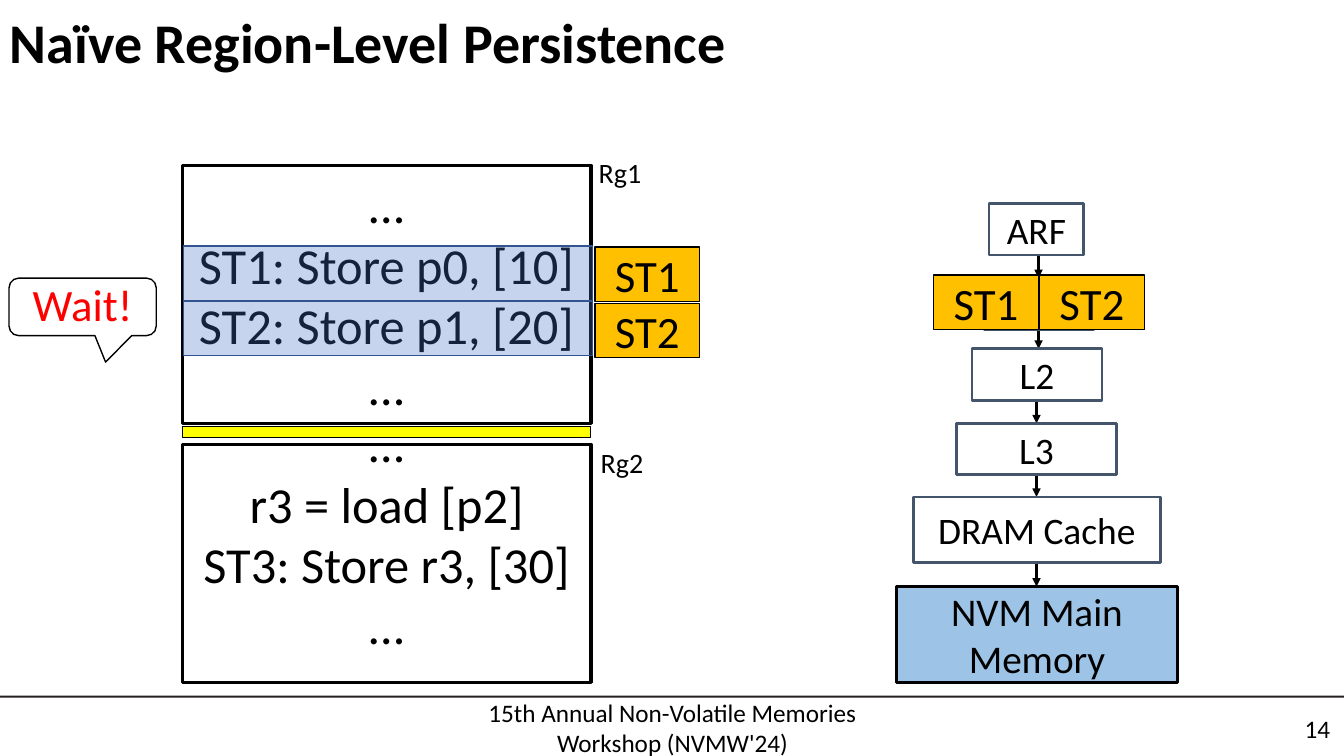
from dataclasses import dataclass
from itertools import pairwise

from lxml.etree import SubElement
from pptx import Presentation
from pptx.dml.color import RGBColor
from pptx.enum.shapes import MSO_CONNECTOR, MSO_SHAPE
from pptx.enum.text import MSO_ANCHOR, PP_ALIGN
from pptx.oxml.ns import qn
from pptx.util import Emu, Pt

PX = 9144  # 100 px to the inch
FONT = "Calibri"
BLACK, WHITE, SLATE = "000000", "FFFFFF", "44546A"


@dataclass
class Area:
    left: int
    top: int
    width: int
    height: int


@dataclass
class Level:
    label: str | None
    top: int
    width: int
    height: int
    centre: int = 1028
    size: float = 26.7
    fill: str | None = None
    line: str = SLATE

    def area(self) -> Area:
        return Area(self.centre - self.width // 2, self.top, self.width, self.height)


@dataclass
class Region:
    name: str
    area: Area
    lines: list[str]
    label: Area
    bottom_inset: int = 5


REGIONS = [
    Region("Rg1", Area(181, 164, 405, 256),
           ["…", "ST1: Store p0, [10]", "ST2: Store p1, [20]", "…"],
           Area(584, 149, 80, 44)),
    Region("Rg2", Area(181, 441, 405, 236),
           ["…", "r3 = load [p2]", "ST3: Store r3, [30]", "…"],
           Area(586, 437, 80, 44), bottom_inset=65),
]
LEVELS = [
    Level("ARF", 202, 94, 51),
    Level(None, 276, 109, 51, centre=1030),  # first cache, holds the stores
    Level("L2", 346, 129, 51),
    Level("L3", 420, 158, 51),
    Level("DRAM Cache", 493, 245, 65),
    Level("NVM Main Memory", 582, 279, 95, size=28, fill="9DC3E6", line=BLACK),
]
STORES = ["ST1", "ST2"]


def px(length: int) -> Emu:
    return Emu(length * PX)


def colour(value: str) -> RGBColor:
    return RGBColor.from_string(value)


def write(box, text: str, *, size: float, color: str = BLACK, bold: bool = False,
          align=PP_ALIGN.CENTER, anchor=MSO_ANCHOR.MIDDLE, wrap: bool = True,
          spacing: float = 1.0, insets: tuple = (10, 5, 10, 5)) -> None:
    """Fill a box with text, one paragraph for each line."""
    frame = box.text_frame
    frame.word_wrap = wrap
    frame.vertical_anchor = anchor
    (frame.margin_left, frame.margin_top,
     frame.margin_right, frame.margin_bottom) = map(px, insets)
    frame.text = text
    for para in frame.paragraphs:
        para.alignment = align
        para.line_spacing = spacing
        for span in para.runs:
            span.font.name = FONT
            span.font.size = Pt(size)
            span.font.bold = bold
            span.font.color.rgb = colour(color)


def add_box(page, area: Area, *, fill: str | None = None, line: str | None = BLACK,
            weight: float = 1, alpha: int = 100, kind=MSO_SHAPE.RECTANGLE):
    box = page.shapes.add_shape(
        kind, px(area.left), px(area.top), px(area.width), px(area.height))
    box.shadow.inherit = False
    if fill:
        box.fill.solid()
        box.fill.fore_color.rgb = colour(fill)
        if alpha < 100:
            tint = box._element.spPr.find(qn("a:solidFill")).find(qn("a:srgbClr"))
            SubElement(tint, qn("a:alpha"), val=str(alpha * 1000))
    else:
        box.fill.background()
    if line:
        box.line.color.rgb = colour(line)
        box.line.width = Pt(weight)
    else:
        box.line.fill.background()
    return box


def add_text(page, area: Area, text: str, **style) -> None:
    box = page.shapes.add_textbox(
        px(area.left), px(area.top), px(area.width), px(area.height))
    write(box, text, **style)


def add_arrow(page, x: int, top: int, bottom: int) -> None:
    arrow = page.shapes.add_connector(
        MSO_CONNECTOR.STRAIGHT, px(x), px(top), px(x), px(bottom))
    arrow.line.color.rgb = colour(BLACK)
    arrow.line.width = Pt(2)
    outline = arrow._element.spPr.find(qn("a:ln"))
    SubElement(outline, qn("a:tailEnd"), type="triangle")
    SubElement(arrow._element.spPr, qn("a:effectLst"))


def add_store(page, name: str, left: int, top: int) -> None:
    box = add_box(page, Area(left, top, 104, 54), fill="FFC000")
    write(box, name, size=32)


def draw_frame(page) -> None:
    add_box(page, Area(0, 690, 1333, 2), fill="231F20", line=None)
    add_text(page, Area(472, 687, 390, 71),
             "15th Annual Non-Volatile Memories Workshop (NVMW'24)",
             size=18, anchor=MSO_ANCHOR.TOP)
    add_text(page, Area(0, 0, 1005, 90), "Naïve Region-Level Persistence",
             size=40, bold=True, align=PP_ALIGN.LEFT, spacing=0.9)
    add_text(page, Area(1029, 703, 300, 40), "14", size=18, align=PP_ALIGN.RIGHT)


def draw_regions(page) -> None:
    for region in REGIONS:
        box = add_box(page, region.area, fill=WHITE, weight=2.5)
        write(box, "\n".join(region.lines), size=36,
              insets=(10, 5, 10, region.bottom_inset))
        add_text(page, region.label, region.name, size=20,
                 align=PP_ALIGN.LEFT, anchor=MSO_ANCHOR.TOP)
    # Boundary between the regions
    add_box(page, Area(181, 423, 405, 11), fill="FFFF00")
    # Highlighted stores and their tags
    for row, name in enumerate(STORES):
        add_box(page, Area(182, 244 + 55 * row, 406, 54),
                fill="4472C4", alpha=30, line="325491")
        add_store(page, name, 590, 245 + 56 * row)


def draw_hierarchy(page) -> None:
    for upper, lower in pairwise(LEVELS):
        add_arrow(page, max(upper.centre, lower.centre),
                  upper.top + upper.height, lower.top)
    for level in LEVELS:
        box = add_box(page, level.area(), fill=level.fill, line=level.line, weight=2)
        if level.label:
            write(box, level.label, size=level.size, insets=(13, 13, 13, 13))
    # Stores waiting in the first cache
    for column, name in enumerate(STORES):
        add_store(page, name, 926 + 105 * column, 273)


def draw_callout(page) -> None:
    callout = add_box(page, Area(9, 276, 146, 57),
                      kind=MSO_SHAPE.ROUNDED_RECTANGULAR_CALLOUT)
    for index, value in enumerate((0.156, 0.961, 0.167)):
        callout.adjustments[index] = value
    write(callout, "Wait!", size=32, color="FF0000", wrap=False,
          insets=(10, 5, 10, 11))


def main() -> None:
    deck = Presentation()
    deck.slide_width, deck.slide_height = px(1333), px(750)
    page = deck.slides.add_slide(deck.slide_layouts[6])
    draw_frame(page)
    draw_regions(page)
    draw_hierarchy(page)
    draw_callout(page)
    deck.save("out.pptx")


if __name__ == "__main__":
    main()
